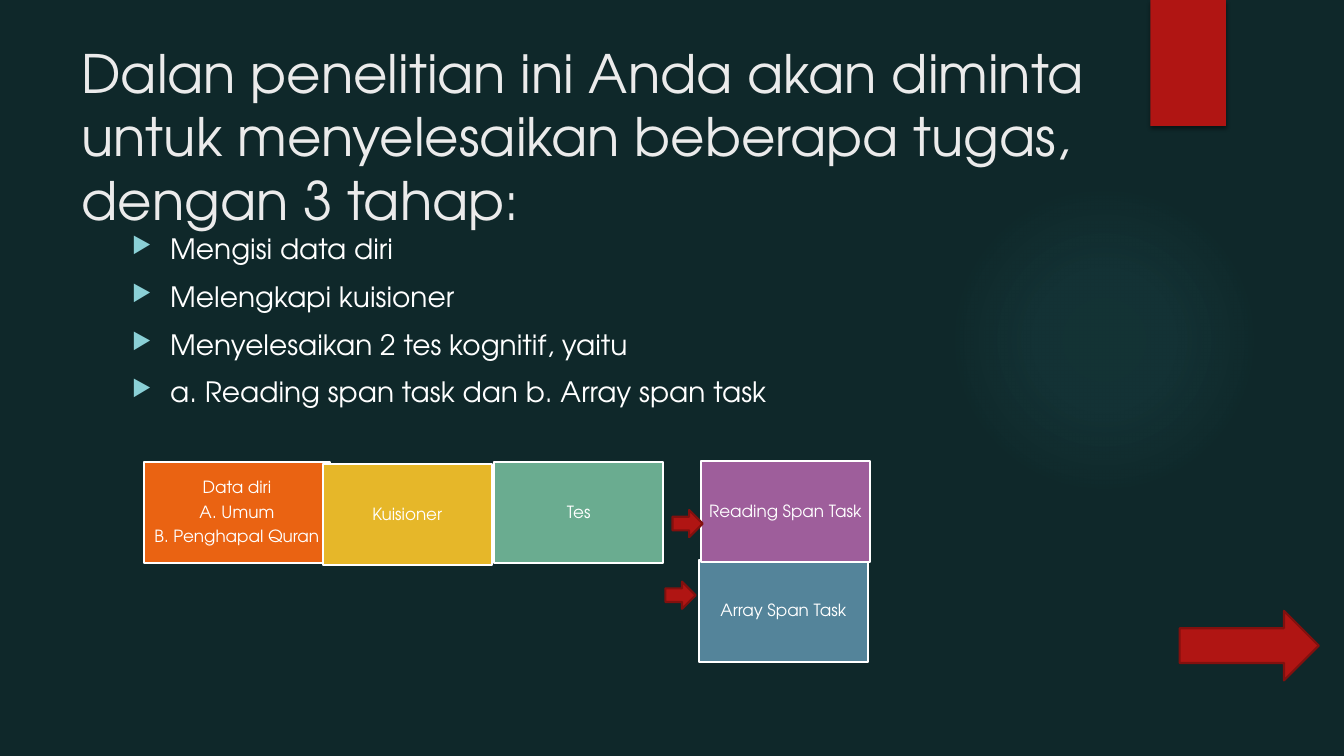
from dataclasses import dataclass

from lxml import etree
from pptx import Presentation
from pptx.dml.color import RGBColor
from pptx.enum.shapes import MSO_SHAPE
from pptx.enum.text import MSO_ANCHOR, PP_ALIGN
from pptx.oxml import parse_xml
from pptx.oxml.ns import nsdecls, qn
from pptx.util import Inches, Pt

RECTANGLE, ELLIPSE, ARROW = MSO_SHAPE.RECTANGLE, MSO_SHAPE.OVAL, MSO_SHAPE.RIGHT_ARROW
TOP, MIDDLE = MSO_ANCHOR.TOP, MSO_ANCHOR.MIDDLE
LEFT, CENTER = PP_ALIGN.LEFT, PP_ALIGN.CENTER


@dataclass(frozen=True)
class Theme:
    font: str = "TeX Gyre Adventor"
    background: str = "0F282A"
    glow: str = "50B9C1"
    accent: str = "B01513"
    accent_edge: str = "82100E"
    title: str = "EBEBEB"
    text: str = "FFFFFF"
    bullet: str = "8AD0D6"
    orange: str = "EA6312"
    yellow: str = "E6B729"
    green: str = "6AAC90"
    blue: str = "54849A"
    purple: str = "9E5E9B"
    title_size: float = 37.8
    body_size: float = 20
    card_size: float = 12
    edge_width: float = 1.5


class SlideBuilder:
    """Draws on one slide; every length is in grid cells of a tenth of an inch."""

    CELL = Inches(0.1)

    def __init__(self, deck, theme):
        self.theme = theme
        self.slide = deck.slides.add_slide(deck.slide_layouts[6])
        fill = self.slide.background.fill
        fill.solid()
        fill.fore_color.rgb = RGBColor.from_string(theme.background)

    def place(self, *cells):
        return [round(cell * self.CELL) for cell in cells]

    def shape(self, kind, at, fill, edge=None):
        shape = self.slide.shapes.add_shape(kind, *self.place(*at))
        shape.shadow.inherit = False
        shape.fill.solid()
        shape.fill.fore_color.rgb = RGBColor.from_string(fill)
        if edge:
            shape.line.color.rgb = RGBColor.from_string(edge)
            shape.line.width = Pt(self.theme.edge_width)
        else:
            shape.line.fill.background()
        return shape

    def glow(self, at, stops):
        """Ellipse with a radial fade; stops are (position, opacity) in percent."""
        properties = self.shape(ELLIPSE, at, self.theme.glow)._element.spPr
        stop_list = "".join(
            f'<a:gs pos="{position * 1000}"><a:srgbClr val="{self.theme.glow}">'
            f'<a:alpha val="{opacity * 1000}"/></a:srgbClr></a:gs>'
            for position, opacity in stops)
        gradient = parse_xml(
            f'<a:gradFill {nsdecls("a")}><a:gsLst>{stop_list}</a:gsLst><a:path path="circle">'
            '<a:fillToRect l="50000" t="50000" r="50000" b="50000"/></a:path></a:gradFill>')
        properties.replace(properties.find(qn("a:solidFill")), gradient)

    def ribbon(self, at):
        ribbon = self.shape(RECTANGLE, at, self.theme.accent)
        ribbon._element.spPr.find(qn("a:effectLst")).append(parse_xml(
            f'<a:outerShdw {nsdecls("a")} blurRad="{Pt(3)}" dist="{Pt(2)}" dir="5400000">'
            '<a:srgbClr val="000000"><a:alpha val="45000"/></a:srgbClr></a:outerShdw>'))

    def arrow(self, at):
        self.shape(ARROW, at, self.theme.accent, self.theme.accent_edge)

    def fill_text(self, box, lines, size, color, frame_format, para_format, bullets=False):
        frame = box.text_frame
        for name, value in {"word_wrap": True, **frame_format}.items():
            setattr(frame, name, value)
        for index, line in enumerate(lines):
            para = frame.add_paragraph() if index else frame.paragraphs[0]
            para.text = line
            if bullets:
                self.bullet(para)
            for name, value in para_format.items():
                if index or name != "space_before":
                    setattr(para, name, value)
            for name, value in {"name": self.theme.font, "size": Pt(size)}.items():
                setattr(para.font, name, value)
            para.font.color.rgb = RGBColor.from_string(color)

    def bullet(self, para):
        properties = para._p.get_or_add_pPr()
        indent = Inches(0.38)
        properties.set("marL", str(indent))
        properties.set("indent", str(-indent))
        color = etree.SubElement(properties, qn("a:buClr"))
        etree.SubElement(color, qn("a:srgbClr"), val=self.theme.bullet)
        etree.SubElement(properties, qn("a:buSzPct"), val="80000")
        etree.SubElement(properties, qn("a:buChar"), char="▶")

    def text(self, at, lines, size, color, bullets=False):
        box = self.slide.shapes.add_textbox(*self.place(*at))
        para_format = {"alignment": LEFT, "space_before": Pt(10)}
        self.fill_text(box, lines, size, color, {"vertical_anchor": TOP}, para_format, bullets)

    def card(self, at, fill, lines):
        theme = self.theme
        margins = {f"margin_{side}": Inches(0.05) for side in ("left", "top", "right", "bottom")}
        para_format = {"alignment": CENTER, "line_spacing": 0.9,
                       "space_after": Pt(0.35 * theme.card_size)}
        self.fill_text(self.shape(RECTANGLE, at, fill, theme.text), lines, theme.card_size,
                       theme.text, {"vertical_anchor": MIDDLE, **margins}, para_format)


def main():
    deck = Presentation()
    deck.slide_width, deck.slide_height = Inches(13.33), Inches(7.5)
    theme = Theme()
    page = SlideBuilder(deck, theme)

    page.glow((94.1, 18.3, 30.8, 30.8), [(0, 7), (36, 6), (69, 0)])
    page.ribbon((114.1, 0, 7.5, 12.5))
    page.text((7.1, 3.5, 102.9, 15.3),
              ["Dalan penelitian ini Anda akan diminta untuk menyelesaikan beberapa tugas, "
               "dengan 3 tahap:"], theme.title_size, theme.title)
    page.text((12.1, 22.5, 97.8, 45.9),
              ["Mengisi data diri", "Melengkapi kuisioner", "Menyelesaikan 2 tes kognitif, yaitu",
               "a. Reading span task dan b. Array span task"],
              theme.body_size, theme.text, bullets=True)

    card_width, card_height = 16.8, 10.1
    cards = [
        (14.3, 45.8, 18.4, theme.orange, ["Data diri", "A. Umum", "B. Penghapal Quran"]),
        (32, 46, card_width, theme.yellow, ["Kuisioner"]),
        (49, 45.8, card_width, theme.green, ["Tes"]),
        (69.3, 55.6, card_width, theme.blue, ["Array Span Task"]),
        (69.5, 45.7, card_width, theme.purple, ["Reading Span Task"]),
    ]
    for left, top, width, fill, lines in cards:
        page.card((left, top, width, card_height), fill, lines)

    for at in [(117, 60.6, 13.8, 6.9), (66.7, 50.6, 3, 2.7), (66, 57.7, 3, 2.7)]:
        page.arrow(at)

    deck.save("out.pptx")


if __name__ == "__main__":
    main()
